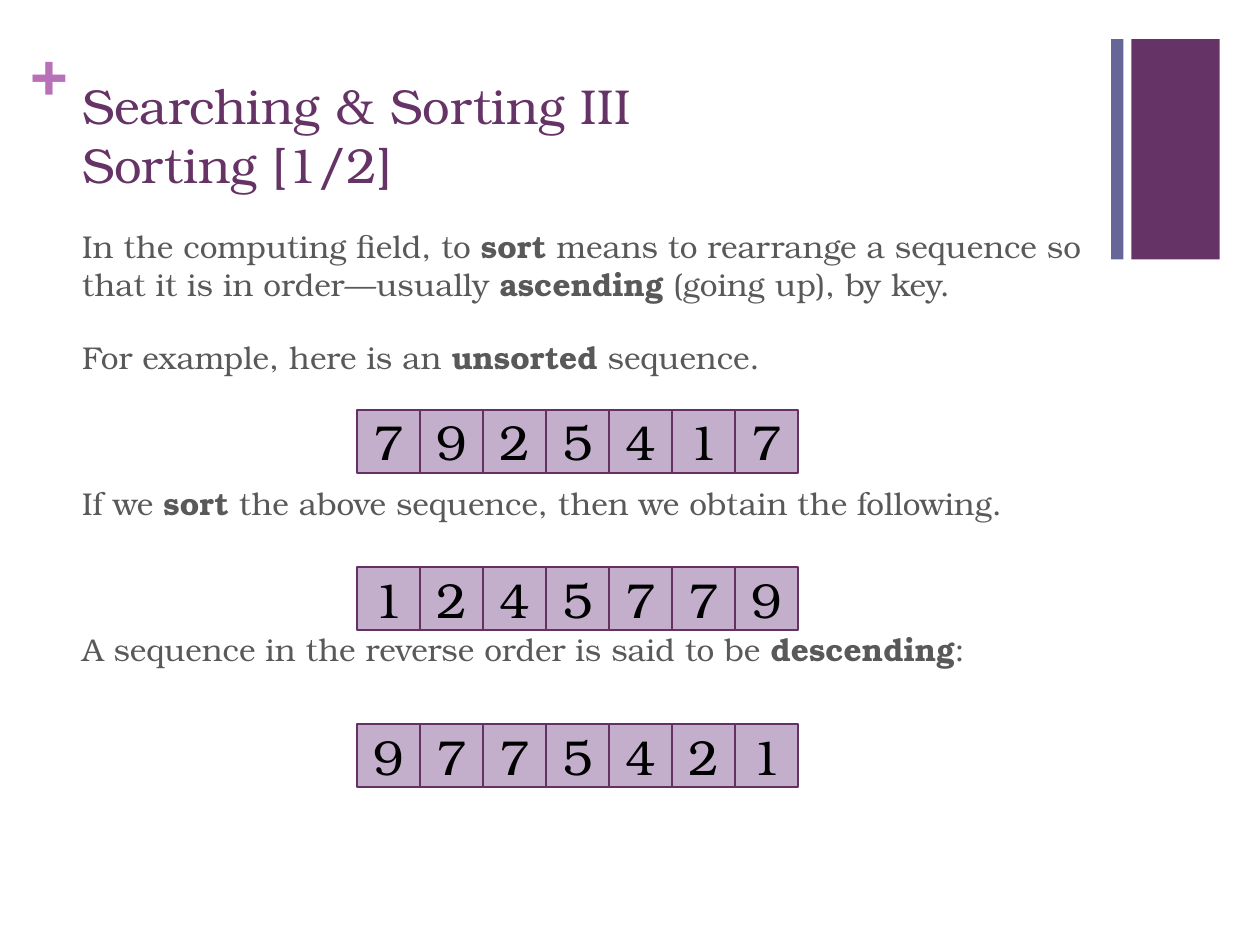
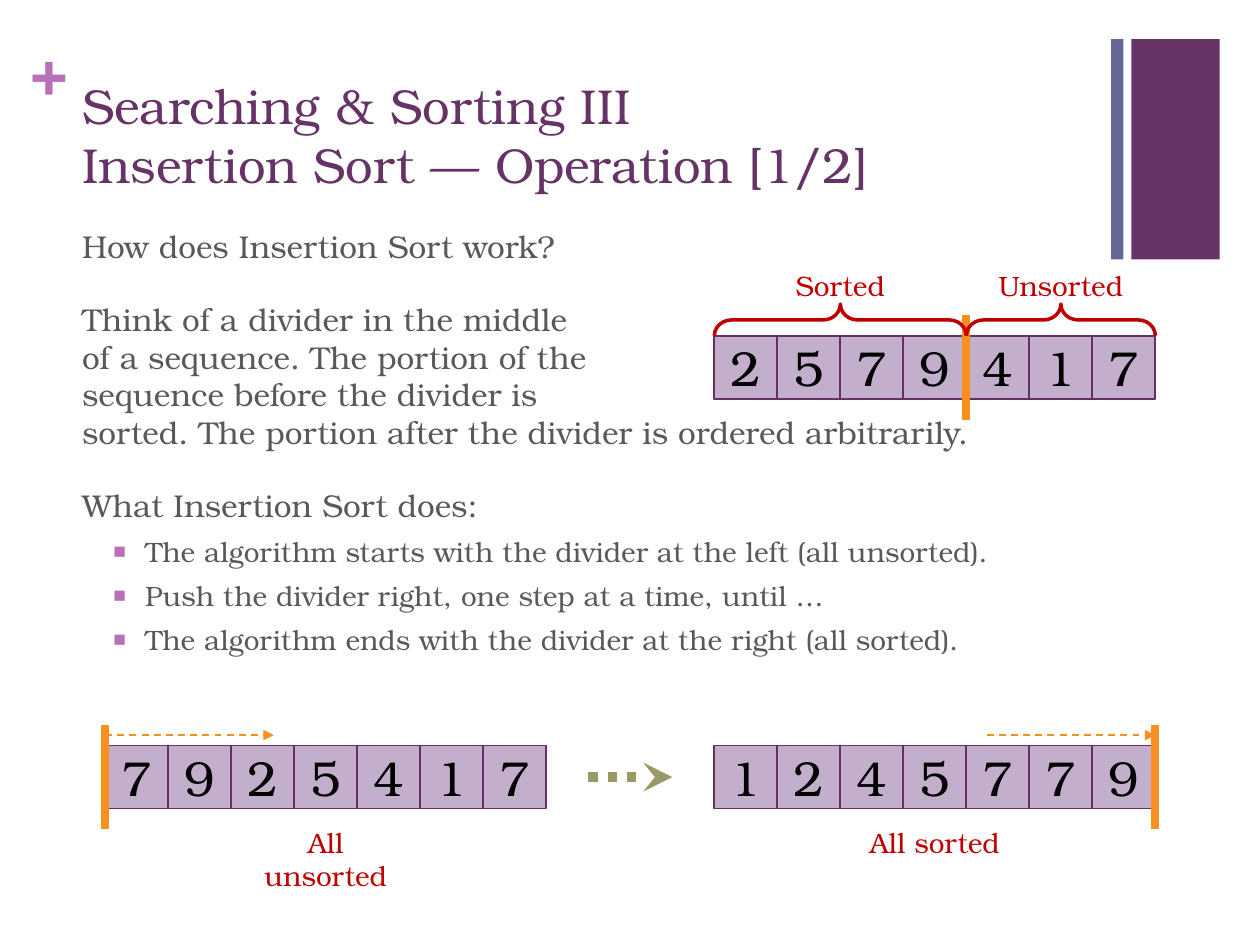
"""Builds two slides on sorting and the operation of Insertion Sort."""
from dataclasses import dataclass

from lxml.etree import SubElement
from pptx import Presentation
from pptx.dml.color import RGBColor
from pptx.enum.dml import MSO_LINE as Dash
from pptx.enum.shapes import MSO_CONNECTOR as Link, MSO_SHAPE as Preset
from pptx.enum.text import MSO_ANCHOR as Anchor, MSO_AUTO_SIZE as Fit, PP_ALIGN as Align
from pptx.oxml.ns import qn
from pptx.util import Cm, Pt

FONT = "TeX Gyre Bonum"
PLUM, ORCHID, SLATE, GREY = "663366", "B870B8", "666699", "595959"
CELL_FILL, CELL_LINE, BLACK = "C3AFCC", "653165", "000000"
RED, ORANGE, OLIVE = "C00000", "F7901E", "999966"
CELL = 1.27
OVERHANG = 0.42
SWEEP = 3.4
BRACE_DEPTH = 0.64


@dataclass(frozen=True)
class Item:
    """A body paragraph, with bold parts between double asterisks."""
    text: str
    before: float = 20
    bulleted: bool = False


@dataclass(frozen=True)
class Row:
    """A sequence of digits in square cells; lengths in centimetres."""
    digits: str
    left: float
    top: float

    def edge(self, index: int) -> float:
        return self.left + index * CELL

    @property
    def right(self) -> float:
        return self.edge(len(self.digits))


@dataclass(frozen=True)
class Stroke:
    """The look of a connector."""
    color: str
    width: float
    dash: Dash | None = None
    tail: str | None = None


DIVIDER = Stroke(ORANGE, 4.5)
SWEEP_ARROW = Stroke(ORANGE, 1, Dash.DASH, "triangle")
STEP_ARROW = Stroke(OLIVE, 5.5, Dash.ROUND_DOT, "stealth")

ORDER_ITEMS = (
    Item("In the computing field, to **sort** means to rearrange a sequence so "
         "that it is in order—usually **ascending** (going up), by key.", 0),
    Item("For example, here is an **unsorted** sequence."),
    Item("If we **sort** the above sequence, then we obtain the following.", 62),
    Item("A sequence in the reverse order is said to be **descending**:", 62),
)
ORDER_ROWS = tuple(Row(digits, 7.2, 8.26 + 3.17 * index)
                   for index, digits in enumerate(("7925417", "1245779", "9775421")))

INSERTION_ITEMS = (
    Item("How does Insertion Sort work?", 0),
    Item("Think of a divider in the middle\nof a sequence. The portion of the\n"
         "sequence before the divider is\n"
         "sorted. The portion after the divider is ordered arbitrarily."),
    Item("What Insertion Sort does:"),
    Item("The algorithm starts with the divider at the left (all unsorted).", 6, True),
    Item("Push the divider right, one step at a time, until …", 6, True),
    Item("The algorithm ends with the divider at the right (all sorted).", 6, True),
)
PARTIAL = Row("2579417", 14.4, 6.77)
START = Row("7925417", 2.12, 15.03)
FINISH = Row("1245779", 14.4, 15.03)


def rgb(color: str) -> RGBColor:
    """Turn a hex string into a colour."""
    return RGBColor.from_string(color)


def set_font(para, size: float, color: str, bold: bool | None = None) -> None:
    """Set the font of a whole paragraph."""
    para.font.name, para.font.size, para.font.bold = FONT, Pt(size), bold
    para.font.color.rgb = rgb(color)


def place(shape, left: float, top: float, width: float, height: float) -> None:
    """Move and size a placeholder."""
    shape.left, shape.top, shape.width, shape.height = map(Cm, (left, top, width, height))


def add_rectangle(page, left: float, top: float, width: float, height: float, fill: str):
    """Add a filled rectangle without an outline."""
    box = page.shapes.add_shape(Preset.RECTANGLE, Cm(left), Cm(top), Cm(width), Cm(height))
    box.shadow.inherit = False
    box.fill.solid()
    box.fill.fore_color.rgb = rgb(fill)
    box.line.fill.background()
    return box


def add_row(page, row: Row) -> None:
    """Draw every digit of a sequence in its own cell."""
    for index, digit in enumerate(row.digits):
        box = add_rectangle(page, row.edge(index), row.top, CELL, CELL, CELL_FILL)
        box.line.color.rgb, box.line.width = rgb(CELL_LINE), Pt(1)
        box.text_frame.vertical_anchor = Anchor.MIDDLE
        para = box.text_frame.paragraphs[0]
        para.text, para.alignment = digit, Align.CENTER
        set_font(para, 28, BLACK)


def add_text(page, text: str, left: float, top: float, width: float, height: float):
    """Add a wrapping one-paragraph text box."""
    box = page.shapes.add_textbox(Cm(left), Cm(top), Cm(width), Cm(height))
    box.text_frame.word_wrap = True
    box.text_frame.paragraphs[0].text = text
    return box


def add_label(page, text: str, center: float, top: float, width: float = 3.81) -> None:
    """Add a red label centred on a position."""
    box = add_text(page, text, center - width / 2, top, width, 0.94)
    para = box.text_frame.paragraphs[0]
    para.alignment = Align.CENTER
    set_font(para, 16, RED)


def add_line(page, start: tuple[float, float], end: tuple[float, float], stroke: Stroke) -> None:
    """Add a straight connector."""
    connector = page.shapes.add_connector(Link.STRAIGHT, *map(Cm, start + end))
    connector.line.color.rgb, connector.line.width = rgb(stroke.color), Pt(stroke.width)
    if stroke.dash:
        connector.line.dash_style = stroke.dash
    properties = connector.element.spPr
    if stroke.tail:
        SubElement(properties.find(qn("a:ln")), qn("a:tailEnd"), type=stroke.tail)
    SubElement(properties, qn("a:effectLst"))


def add_divider(page, row: Row, index: int) -> None:
    """Draw the divider before the cell with the given index."""
    x = row.edge(index)
    add_line(page, (x, row.top - OVERHANG), (x, row.top + CELL + OVERHANG), DIVIDER)


def add_sweep(page, row: Row, left: float) -> None:
    """Draw a dashed arrow just above a row."""
    y = row.top - OVERHANG / 2
    add_line(page, (left, y), (left + SWEEP, y), SWEEP_ARROW)


def add_brace(page, row: Row, first: int, last: int, label: str) -> None:
    """Draw a labelled brace above a range of cells."""
    length = (last - first) * CELL
    center = row.edge(first) + length / 2
    middle = row.top - BRACE_DEPTH / 2
    brace = page.shapes.add_shape(Preset.LEFT_BRACE, Cm(center - BRACE_DEPTH / 2),
                                  Cm(middle - length / 2), Cm(BRACE_DEPTH), Cm(length))
    brace.rotation = 90
    brace.adjustments[0] = 0.54
    brace.shadow.inherit = False
    brace.fill.background()
    brace.line.color.rgb, brace.line.width = rgb(RED), Pt(2)
    add_label(page, label, center, 5.29, 3.6)


def format_item(para, item: Item) -> None:
    """Write one body paragraph with its bullet, spacing and bold parts."""
    properties = para._p.get_or_add_pPr()
    indent = (Cm(1.27), Cm(-0.64)) if item.bulleted else (0, 0)
    for name, value in zip(("marL", "indent"), indent):
        properties.set(name, str(int(value)))
    if item.bulleted:
        para.level = 1
        SubElement(SubElement(properties, qn("a:buClr")), qn("a:srgbClr"), val=ORCHID)
        SubElement(properties, qn("a:buSzPct"), val="75000")
        SubElement(properties, qn("a:buChar"), char="■")
    else:
        SubElement(properties, qn("a:buNone"))
    para.space_before = Pt(item.before)
    set_font(para, 16 if item.bulleted else 18, GREY)
    for part, text in enumerate(item.text.split("**")):
        for number, line in enumerate(text.split("\n")):
            if number:
                para.add_line_break()
            span = para.add_run()
            span.text = line
            if part % 2:
                span.font.bold = True


def add_page(deck, title: str, items: tuple[Item, ...]):
    """Add a slide with the shared decoration, a title and body text."""
    page = deck.slides.add_slide(deck.slide_layouts[1])
    add_rectangle(page, 22.81, 0.79, 1.78, 4.44, PLUM)
    add_rectangle(page, 22.4, 0.79, 0.25, 4.44, SLATE)
    plus = add_text(page, "+", 0.61, 0.64, 0.74, 1.55).text_frame
    plus.margin_left = plus.margin_right = plus.margin_top = plus.margin_bottom = 0
    set_font(plus.paragraphs[0], 36, ORCHID, True)

    heading, body = page.shapes.title, page.placeholders[1]
    place(heading, 1.4, 1.35, 20.98, 2.67)
    place(body, 1.4, 4.45, 20.98, 13.13)
    for frame, anchor in ((heading.text_frame, Anchor.BOTTOM), (body.text_frame, Anchor.TOP)):
        frame.auto_size, frame.vertical_anchor, frame.word_wrap = Fit.NONE, anchor, True
    para = heading.text_frame.paragraphs[0]
    para.text, para.alignment = title, Align.LEFT
    set_font(para, 28, PLUM)
    for index, item in enumerate(items):
        frame = body.text_frame
        format_item(frame.add_paragraph() if index else frame.paragraphs[0], item)
    return page


def build_order_page(deck) -> None:
    """Show unsorted, ascending and descending sequences."""
    page = add_page(deck, "Searching & Sorting III\nSorting [1/2]", ORDER_ITEMS)
    for row in ORDER_ROWS:
        add_row(page, row)


def build_insertion_page(deck) -> None:
    """Show how the divider moves through a sequence."""
    page = add_page(deck, "Searching & Sorting III\nInsertion Sort — Operation [1/2]",
                    INSERTION_ITEMS)
    for row, split in ((PARTIAL, 4), (START, 0), (FINISH, 7)):
        add_row(page, row)
        add_divider(page, row, split)
    add_brace(page, PARTIAL, 0, 4, "Sorted")
    add_brace(page, PARTIAL, 4, 7, "Unsorted")
    add_sweep(page, START, START.left)
    add_sweep(page, FINISH, FINISH.right - SWEEP)
    middle, gap = START.top + CELL / 2, 0.85
    add_line(page, (START.right + gap, middle), (FINISH.left - gap, middle), STEP_ARROW)
    add_label(page, "All unsorted", (START.left + START.right) / 2, 16.51)
    add_label(page, "All sorted", (FINISH.left + FINISH.right) / 2, 16.51)


def main() -> None:
    """Build and save the deck."""
    deck = Presentation()
    deck.slide_width, deck.slide_height = Cm(25.4), Cm(19.05)
    build_order_page(deck)
    build_insertion_page(deck)
    deck.save("out.pptx")


if __name__ == "__main__":
    main()
